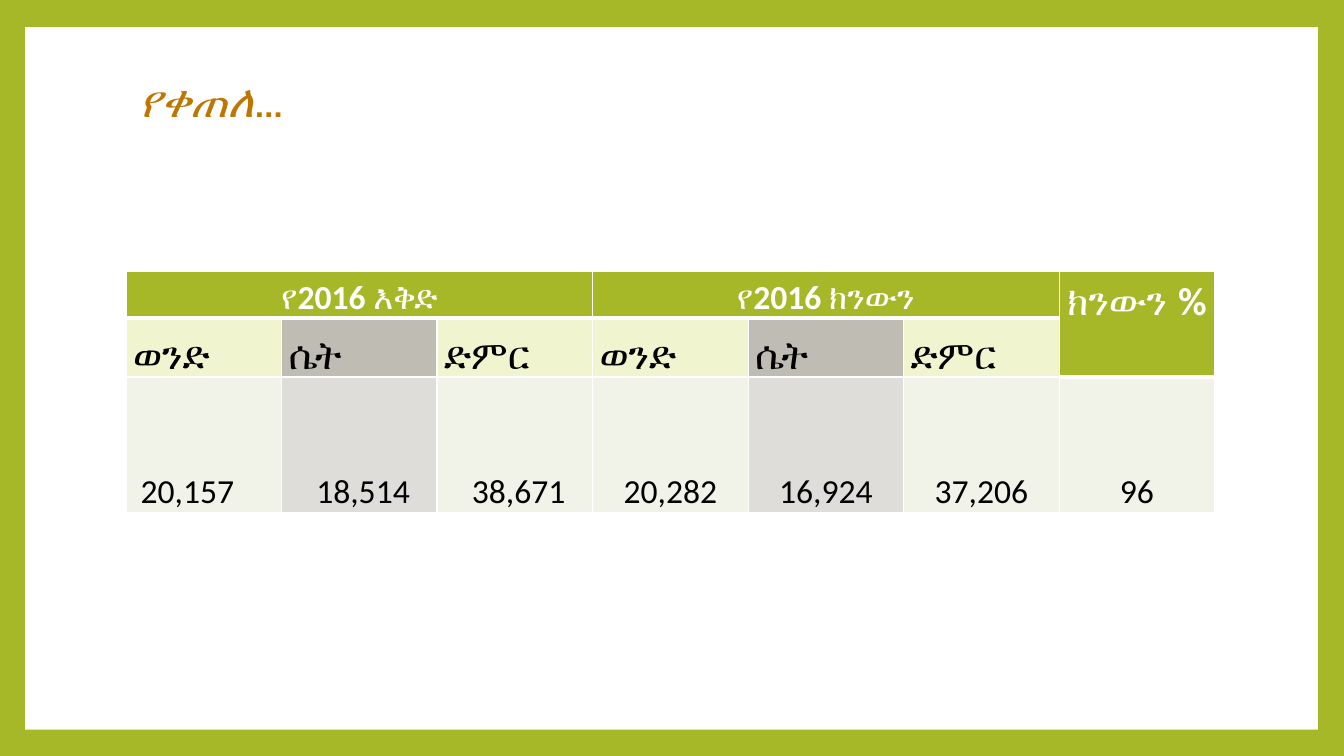
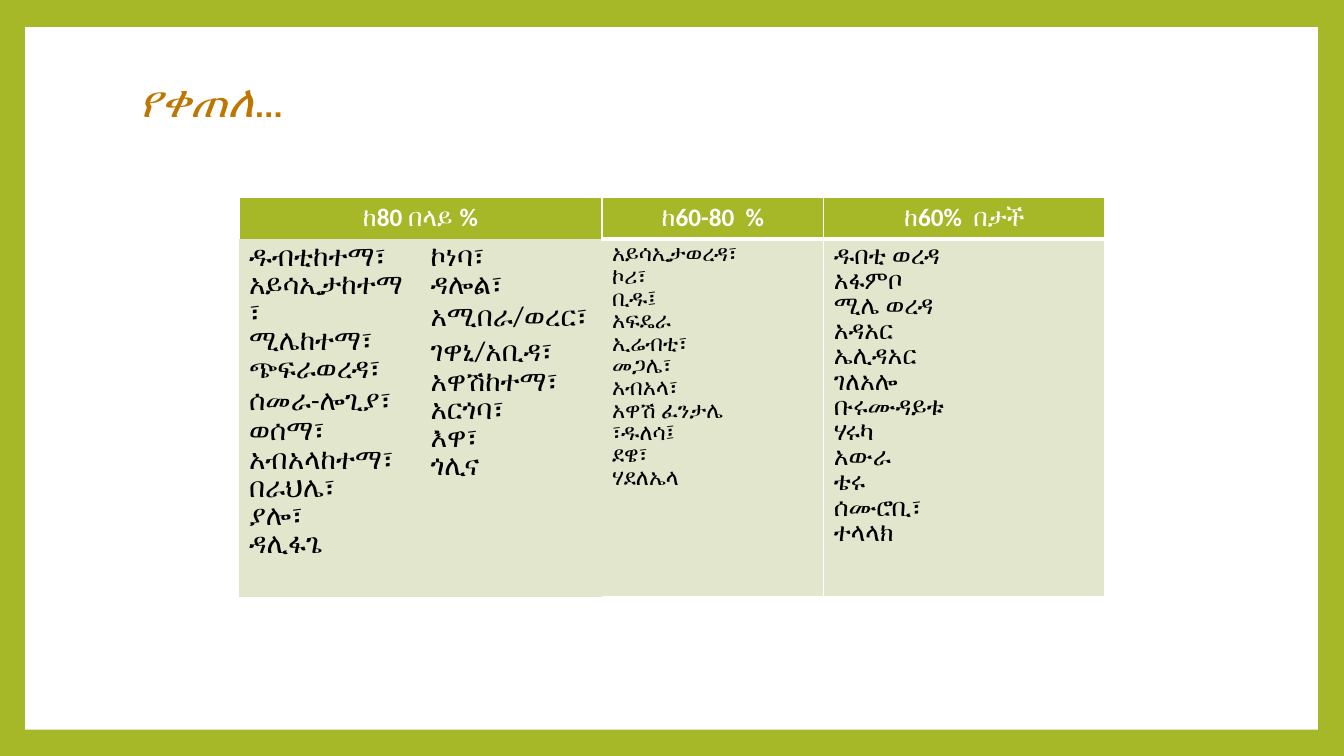
"""Build two slides of plan and performance tables in a shared green frame."""
from lxml import etree
from pptx import Presentation
from pptx.dml.color import RGBColor
from pptx.enum.shapes import MSO_SHAPE
from pptx.enum.text import MSO_ANCHOR, PP_ALIGN
from pptx.oxml.ns import qn
from pptx.util import Inches, Pt

LEFT, CENTER, JUSTIFY = PP_ALIGN.LEFT, PP_ALIGN.CENTER, PP_ALIGN.JUSTIFY
TOP, MIDDLE, BOTTOM = MSO_ANCHOR.TOP, MSO_ANCHOR.MIDDLE, MSO_ANCHOR.BOTTOM
RECTANGLE = MSO_SHAPE.RECTANGLE
GREEN, WHITE, BLACK, ORANGE = "A6B727", "FFFFFF", "000000", "BE7600"
SUBHEAD, SUBHEAD_DARK = "F0F5D0", "BFBCB3"
BODY, BODY_DARK = "F1F3E8", "DFDDD9"
LIST_FILL = "E1E6CD"


def write(text_frame, text, size=18, color=BLACK, bold=False, italic=False,
          align=LEFT, spacing=None):
    """Write one paragraph per line of text and return the last paragraph."""
    text_frame.text = text
    for paragraph in text_frame.paragraphs:
        paragraph.alignment = align
        paragraph.line_spacing = spacing
        for run in paragraph.runs:
            run.font.name = "Calibri"
            run.font.size = Pt(size)
            run.font.bold = bold
            run.font.italic = italic
            run.font.color.rgb = RGBColor.from_string(color)
    return paragraph


def paint_cell(cell, fill, borders, margins=(0.1, 0.05), anchor=TOP):
    """Set margins, fill and white borders given as left, right, top, bottom points."""
    cell.margin_left = cell.margin_right = Inches(margins[0])
    cell.margin_top = cell.margin_bottom = Inches(margins[1])
    cell.vertical_anchor = anchor
    properties = cell._tc.get_or_add_tcPr()
    for side, width in zip("LRTB", borders):
        line = etree.SubElement(properties, qn(f"a:ln{side}"), w=str(Pt(width)))
        if width:
            solid = etree.SubElement(line, qn("a:solidFill"))
            etree.SubElement(solid, qn("a:srgbClr"), val=WHITE)
        else:
            etree.SubElement(line, qn("a:noFill"))
    cell.fill.solid()
    cell.fill.fore_color.rgb = RGBColor.from_string(fill)


presentation = Presentation()
presentation.slide_width = Inches(13.33)
presentation.slide_height = Inches(7.5)

master = presentation.slide_master
master.background.fill.solid()
master.background.fill.fore_color.rgb = RGBColor.from_string(GREEN)

layout = presentation.slide_layouts[5]
layout_title = layout.placeholders[0]
layout_title.left, layout_title.top = Inches(1.27), Inches(0.66)
layout_title.width, layout_title.height = Inches(10.8), Inches(0.72)
layout_title.text_frame.vertical_anchor = MIDDLE

slides = [presentation.slides.add_slide(layout) for _ in range(2)]
for slide in slides:
    paragraph = write(slide.shapes.title.text_frame, "የቀጠለ", size=32, color=ORANGE,
                      bold=True, italic=True, spacing=0.9)
    ellipsis = paragraph.add_run()
    ellipsis.text = "…"
    ellipsis.font.name = "Calibri"
    ellipsis.font.size = Pt(32)
    ellipsis.font.bold = ellipsis.font.italic = False
    ellipsis.font.color.rgb = RGBColor.from_string(ORANGE)

panel = slides[0].shapes.add_shape(RECTANGLE, Inches(0.25), Inches(0.27),
                                   Inches(12.82), Inches(6.97))
panel.shadow.inherit = False
panel.fill.solid()
panel.fill.fore_color.rgb = RGBColor.from_string(WHITE)
panel.line.fill.background()
panel.element.nvSpPr.cNvPr.set("id", "20")
master.shapes.element.insert(2, panel.element)

row_heights = [0.46, 0.58, 1.34]
totals = slides[0].shapes.add_table(3, 7, Inches(1.25), Inches(2.69), Inches(10.8),
                                    Inches(sum(row_heights))).table
for row, height in zip(totals.rows, row_heights):
    row.height = Inches(height)
for first, last in [((0, 0), (0, 2)), ((0, 3), (0, 5)), ((0, 6), (1, 6))]:
    totals.cell(*first).merge(totals.cell(*last))

for column, (text, size) in {0: ("የ2016 እቅድ", 24), 3: ("የ2016 ክንውን", 24),
                             6: ("ክንውን %", 28)}.items():
    write(totals.cell(0, column).text_frame, text, size=size, color=WHITE,
          bold=True, align=CENTER, spacing=1.15)
for column, text in enumerate(["ወንድ", "ሴት", "ድምር"] * 2):
    write(totals.cell(1, column).text_frame, text, size=28, align=JUSTIFY, spacing=1.5)
numbers = [" 20,157", " 18,514", " 38,671", "20,282", "16,924", "37,206", "96"]
for column, text in enumerate(numbers):
    write(totals.cell(2, column).text_frame, text, size=24,
          align=CENTER if column else LEFT, spacing=1.15)

for column in range(7):
    dark = column in (1, 4)
    last = column == 6
    subhead = GREEN if last else SUBHEAD_DARK if dark else SUBHEAD
    margins = (0.07, 0)
    paint_cell(totals.cell(0, column), GREEN, (1, 1, 1, 3), margins)
    paint_cell(totals.cell(1, column), subhead, (1, 1, 3, 3 if last else 1), margins)
    paint_cell(totals.cell(2, column), BODY_DARK if dark else BODY,
               (1, 1, 3 if last else 1, 1), margins, BOTTOM)

column_widths = [1.8, 1.8, 2.2, 2.79]
groups = slides[1].shapes.add_table(2, 4, Inches(2.37), Inches(1.96),
                                    Inches(sum(column_widths)), Inches(3.96)).table
for column, width in zip(groups.columns, column_widths):
    column.width = Inches(width)
for row, height in zip(groups.rows, [0.41, 3.55]):
    row.height = Inches(height)
groups.cell(0, 0).merge(groups.cell(0, 1))

for column, text in {0: "ከ80 በላይ %", 2: "ከ60-80  %", 3: "ከ60%  በታች"}.items():
    write(groups.cell(0, column).text_frame, text, color=WHITE, bold=True, align=CENTER)

districts = [
    (["ዱብቲከተማ፣", "አይሳኢታከተማ፣", "ሚሌከተማ፣", "ጭፍራወረዳ፣", "ሰመራ-ሎጊያ፣", "ወሰማ፣",
      "አብአላከተማ፣", "በራህሌ፣", "ያሎ፣", "ዳሊፋጌ"], 20, JUSTIFY, (0, 0, 0, 0)),
    (["ኮነባ፣", "ዳሎል፣", "አሚበራ/ወረር፣", "ገዋኒ/አቢዳ፣", "አዋሽከተማ፣", "አርጎባ፣", "እዋ፣",
      "ጎሊና"], 20, JUSTIFY, (0, 0, 0, 0)),
    (["አይሳኢታወረዳ፣", "ኮሪ፣", "ቢዱ፤", "አፍዴራ", "ኢሬብቲ፣", "መጋሌ፣", "አብአላ፣",
      "አዋሽ ፈንታሌ", "፣ዱለሳ፤", "ደዌ፣", "ሃደለኤላ"], 16, LEFT, (0, 1, 3, 1)),
    (["ዱበቲ ወረዳ", "አፋምቦ", "ሚሌ ወረዳ", "አዳአር", "ኤሊዳአር", "ገለአሎ", "ቡሩሙዳይቱ",
      "ሃሩካ", "አውራ", "ቴሩ", "ሰሙሮቢ፣", "ተላላክ"], 18, LEFT, (1, 1, 3, 1)),
]
for column, (names, size, align, borders) in enumerate(districts):
    cell = groups.cell(1, column)
    write(cell.text_frame, "\n".join(names), size=size, align=align)
    paint_cell(cell, LIST_FILL, borders)
    paint_cell(groups.cell(0, column), GREEN, (1, 1, 1, borders[2]))

presentation.save("out.pptx")
